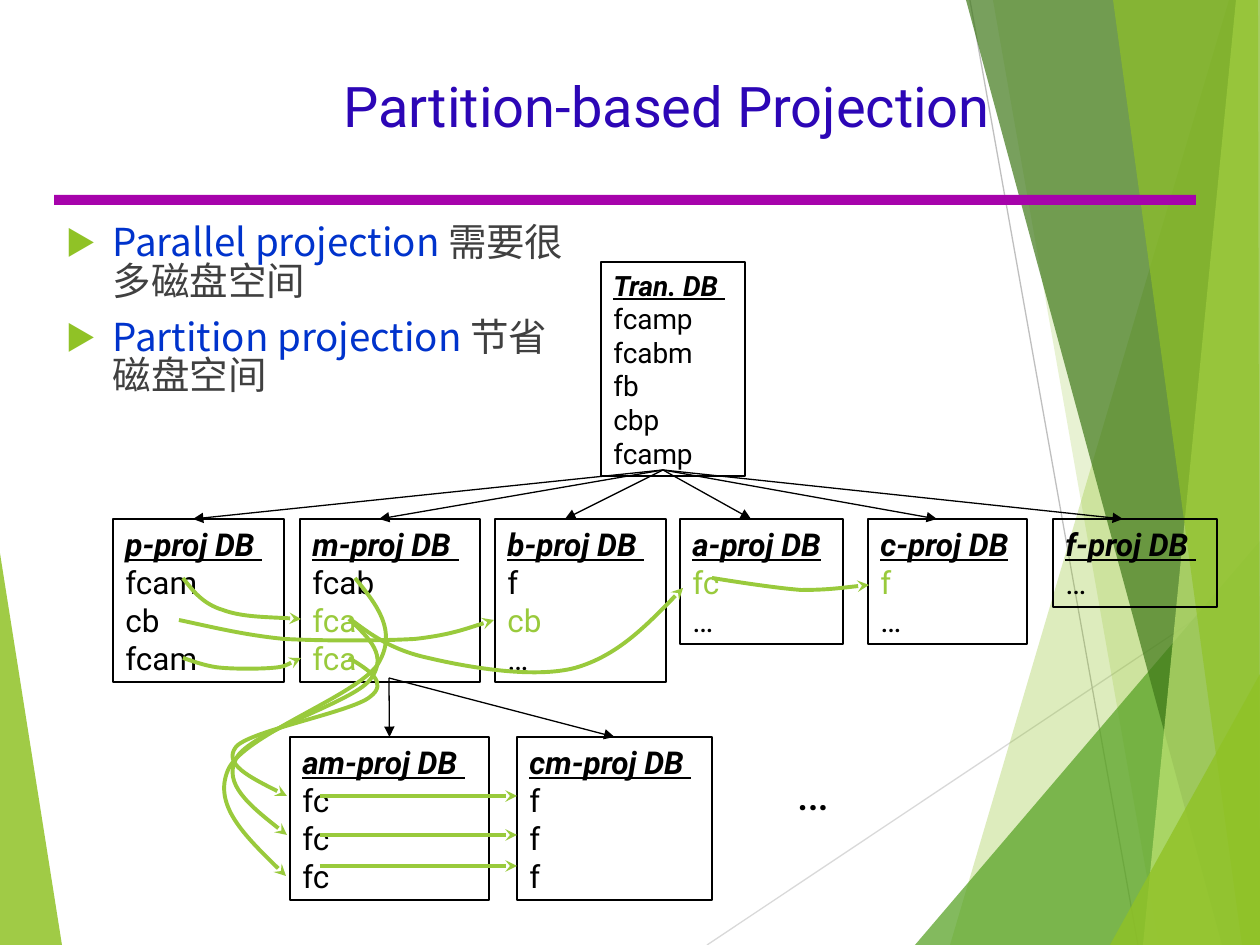
from lxml.etree import SubElement
from pptx import Presentation
from pptx.dml.color import RGBColor
from pptx.enum.shapes import MSO_CONNECTOR, MSO_SHAPE
from pptx.enum.text import MSO_ANCHOR, MSO_AUTO_SIZE, PP_ALIGN
from pptx.oxml.ns import qn
from pptx.util import Pt

SCALE = 914400 / 126
WIDTH, HEIGHT = 1260, 945

BLACK = RGBColor(0x00, 0x00, 0x00)
INDIGO = RGBColor(0x2C, 0x06, 0xB6)
BLUE = RGBColor(0x00, 0x33, 0xCC)
GRAY = RGBColor(0x40, 0x40, 0x40)
PALE = RGBColor(0xD9, 0xD9, 0xD9)
SILVER = RGBColor(0xBF, 0xBF, 0xBF)
PURPLE = RGBColor(0xA6, 0x03, 0xAB)
LIME = RGBColor(0x99, 0xCA, 0x3C)
LEAF = RGBColor(0x90, 0xC2, 0x26)
GRASS = RGBColor(0x54, 0xA0, 0x21)
FOREST = RGBColor(0x3F, 0x78, 0x19)
MINT = RGBColor(0xC0, 0xE4, 0x74)

LATIN, CJK = "Roboto", "Noto Sans CJK SC"
HEADING = {"bold": True, "italic": True, "underline": True}

FACETS = [
    ([(0, 553), (62, HEIGHT), (0, HEIGHT)], LEAF, 85),
    ([(1229, 0), (950, HEIGHT), (WIDTH, HEIGHT), (WIDTH, 0)], LEAF, 30),
    ([(993, 0), (1159, HEIGHT), (WIDTH, HEIGHT), (WIDTH, 0)], LEAF, 20),
    ([(915, HEIGHT), (WIDTH, 541), (WIDTH, HEIGHT)], GRASS, 72),
    ([(966, 0), (1222, HEIGHT), (WIDTH, HEIGHT), (WIDTH, 0)], FOREST, 70),
    ([(1236, 0), (1143, HEIGHT), (WIDTH, HEIGHT), (WIDTH, 0)], MINT, 70),
    ([(1113, 0), (1242, HEIGHT), (WIDTH, HEIGHT), (1258, 0)], LEAF, 65),
    ([(1110, HEIGHT), (WIDTH, 674), (WIDTH, HEIGHT)], LEAF, 80),
]

BULLETS = [
    ("Parallel projection ", "需要很多磁盘空间"),
    ("Partition projection ", "节省磁盘空间"),
]

PROJECTIONS = [
    (113, 171, "p-proj DB ", [("fcam", BLACK), ("cb", BLACK), ("fcam", BLACK)]),
    (300, 180, "m-proj DB ", [("fcab", BLACK), ("fca", LIME), ("fca", LIME)]),
    (495, 171, "b-proj DB ", [("f", BLACK), ("cb", LIME), ("…", BLACK)]),
    (680, 163, "a-proj DB", [("fc", LIME), ("…", BLACK)]),
    (868, 159, "c-proj DB", [("f", LIME), ("…", BLACK)]),
    (1053, 164, "f-proj DB ", [("…", BLACK)]),
]

CURVES = [
    [(183, 578), (193, 591), (203, 604), (223, 610), (242, 617), (272, 617), (301, 619)],
    [(350, 619), (370, 634), (391, 650), (428, 658), (466, 667), (533, 679), (575, 668),
     (617, 656), (650, 622), (683, 588)],
    [(712, 578), (743, 583), (776, 588), (801, 590), (828, 590), (848, 587), (869, 585)],
    [(183, 658), (195, 662), (208, 667), (223, 668), (237, 669), (258, 669), (272, 668),
     (285, 667), (292, 662), (301, 658)],
    [(349, 658), (369, 670), (389, 683), (370, 697), (352, 712), (249, 731), (236, 747),
     (223, 764), (255, 780), (287, 796)],
    [(349, 619), (369, 638), (389, 656), (370, 680), (352, 703), (249, 732), (236, 759),
     (223, 784), (255, 810), (287, 835)],
    [(355, 578), (377, 605), (398, 631), (378, 664), (357, 696), (243, 735), (228, 770),
     (213, 805), (249, 840), (286, 876)],
    [(179, 620), (212, 627), (244, 635), (284, 639), (323, 641), (379, 641), (415, 639),
     (450, 635), (471, 627), (494, 620)],
]


def px(n):
    return round(n * SCALE)


def assign(obj, **values):
    for name, value in values.items():
        setattr(obj, name, value)


def add_run(p, text, color, size, name=LATIN, **style):
    r = p.add_run()
    r.text = text
    assign(r.font, size=Pt(size), name=name, **style)
    r.font.color.rgb = color
    SubElement(r._r.get_or_add_rPr(), qn("a:ea")).set("typeface", name)


def set_line(sp, color, width, head=None):
    sp.line.color.rgb = color
    sp.line.width = Pt(width)
    if head:
        SubElement(sp.line._get_or_add_ln(), qn("a:tailEnd")).set("type", head)


def add_line(s, start, end, color, width=0.75, head=None, target=None):
    sp = s.shapes.add_connector(MSO_CONNECTOR.STRAIGHT, *map(px, start + end))
    if target is not None and abs(target.left + target.width / 2 - px(end[0])) <= px(2):
        sp.end_connect(target, 0)
    set_line(sp, color, width, head)
    SubElement(sp._element.spPr, qn("a:effectLst"))


def build_outline(s, points, close):
    builder = s.shapes.build_freeform(*points[0], scale=SCALE)
    builder.add_line_segments(points[1:], close=close)
    sp = builder.convert_to_shape()
    sp.shadow.inherit = False
    return sp


def add_facet(s, points, color, opacity):
    sp = build_outline(s, points, True)
    sp.fill.solid()
    sp.fill.fore_color.rgb = color
    sp.line.fill.background()
    rgb = sp._element.spPr.find(".//" + qn("a:srgbClr"))
    SubElement(rgb, qn("a:alpha")).set("val", str(opacity * 1000))


def add_curve(s, points):
    sp = build_outline(s, points, False)
    sp.fill.background()
    set_line(sp, LIME, 2.25, "stealth")
    outline = sp._element.spPr.find(".//" + qn("a:path"))
    for i, segment in enumerate(outline.findall(qn("a:lnTo"))):
        if i % 3 == 0:
            bezier = SubElement(outline, qn("a:cubicBezTo"))
        bezier.append(segment[0])
        outline.remove(segment)


def add_rule(s):
    sp = s.shapes.add_shape(MSO_SHAPE.RECTANGLE, px(54), px(195), px(1142), px(10))
    sp.shadow.inherit = False
    sp.fill.solid()
    sp.fill.fore_color.rgb = PURPLE
    sp.line.fill.background()


def add_box(s, left, top, width, heading, rows, size=18):
    height = round((len(rows) + 1) * size * 2.1) + 12
    sp = s.shapes.add_shape(MSO_SHAPE.RECTANGLE, px(left), px(top), px(width), px(height))
    sp.shadow.inherit = False
    sp.fill.background()
    set_line(sp, BLACK, 0.75)
    tf = sp.text_frame
    assign(tf, word_wrap=True, vertical_anchor=MSO_ANCHOR.TOP)
    p = tf.paragraphs[0]
    p.alignment = PP_ALIGN.LEFT
    add_run(p, heading, BLACK, size, **HEADING)
    for text, color in rows:
        p = tf.add_paragraph()
        p.alignment = PP_ALIGN.LEFT
        add_run(p, text, color, size)
    return sp


def place(s, sp, left, top, width, height):
    assign(sp, left=px(left), top=px(top), width=px(width), height=px(height))
    s.shapes._spTree.append(sp._element)
    assign(sp.text_frame, word_wrap=True, auto_size=MSO_AUTO_SIZE.NONE)
    return sp.text_frame


def fill_title(s):
    tf = place(s, s.shapes.title, 126, 63, 1082, 84)
    tf.vertical_anchor = MSO_ANCHOR.MIDDLE
    p = tf.paragraphs[0]
    p.alignment = PP_ALIGN.CENTER
    add_run(p, "Partition-based Projection", INDIGO, 32)


def fill_body(s):
    tf = place(s, s.placeholders[1], 53, 220, 536, 220)
    for i, (term, note) in enumerate(BULLETS):
        p = tf.add_paragraph() if i else tf.paragraphs[0]
        pPr = p._p.get_or_add_pPr()
        assign(pPr, marL=px(48), indent=-px(48))
        SubElement(SubElement(pPr, qn("a:buClr")), qn("a:srgbClr")).set("val", str(LEAF))
        SubElement(pPr, qn("a:buSzPct")).set("val", "80000")
        SubElement(pPr, qn("a:buFont")).set("typeface", CJK)
        SubElement(pPr, qn("a:buChar")).set("char", "▶")
        assign(p, line_spacing=0.83, space_before=Pt(10 if i else 0))
        add_run(p, term, BLUE, 22, CJK)
        add_run(p, note, GRAY, 22, CJK)


def add_ellipsis(s):
    sp = s.shapes.add_textbox(px(784), px(755), px(74), px(72))
    sp.text_frame.word_wrap = True
    add_run(sp.text_frame.paragraphs[0], "…", BLACK, 28)


def main():
    prs = Presentation()
    assign(prs, slide_width=px(WIDTH), slide_height=px(HEIGHT))
    s = prs.slides.add_slide(prs.slide_layouts[1])

    add_line(s, (707, HEIGHT), (WIDTH, 576), PALE)
    add_line(s, (970, 0), (1138, HEIGHT), SILVER)
    for facet in FACETS:
        add_facet(s, *facet)
    add_rule(s)
    fill_title(s)
    fill_body(s)

    transactions = [(t, BLACK) for t in ("fcamp", "fcabm", "fb", "cbp", "fcamp")]
    add_box(s, 601, 262, 144, "Tran. DB ", transactions, 16)
    for i, (left, width, heading, rows) in enumerate(PROJECTIONS):
        box = add_box(s, left, 519, width, heading, rows)
        add_line(s, (663, 470), (193 + 186 * i, 519), BLACK, head="triangle", target=box)
    for left, width, heading, item, x in [(290, 199, "am-proj DB ", "fc", 389),
                                          (517, 195, "cm-proj DB ", "f", 615)]:
        box = add_box(s, left, 737, width, heading, [(item, BLACK)] * 3)
        add_line(s, (389, 678), (x, 737), BLACK, head="triangle", target=box)

    for points in CURVES:
        add_curve(s, points)
    for y in (796, 835, 866):
        add_line(s, (320, y), (517, y), LIME, 2.25, "stealth")
    add_ellipsis(s)
    prs.save("out.pptx")


if __name__ == "__main__":
    main()
